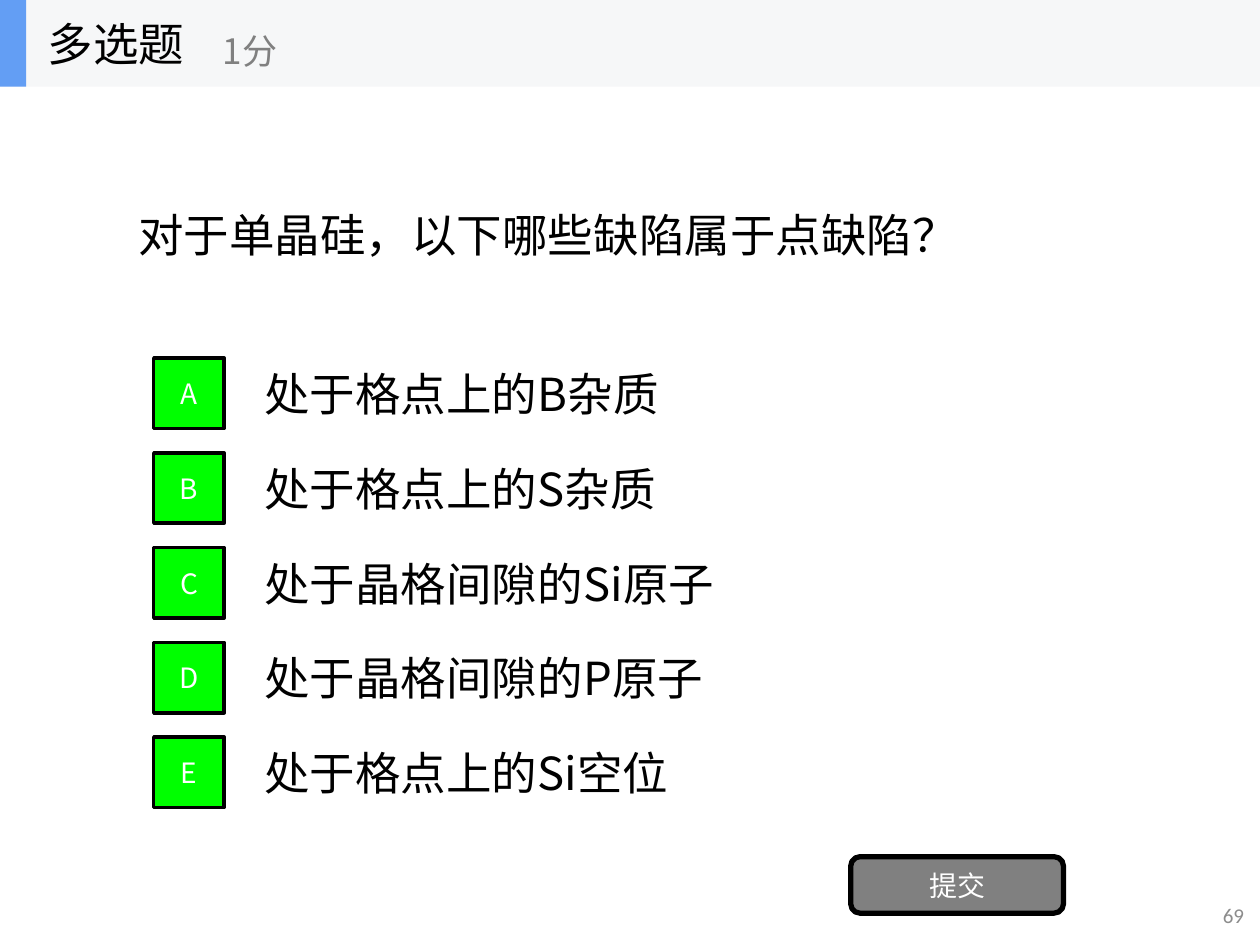
from lxml import etree
from pptx import Presentation
from pptx.dml.color import RGBColor
from pptx.enum.shapes import MSO_SHAPE
from pptx.enum.text import MSO_ANCHOR, PP_ALIGN
from pptx.oxml.ns import qn
from pptx.util import Cm, Pt

RECTANGLE = MSO_SHAPE.RECTANGLE
ROUNDED = MSO_SHAPE.ROUNDED_RECTANGLE
MIDDLE = MSO_ANCHOR.MIDDLE
LEFT, CENTER, RIGHT = PP_ALIGN.LEFT, PP_ALIGN.CENTER, PP_ALIGN.RIGHT

BLACK = RGBColor(0x00, 0x00, 0x00)
WHITE = RGBColor(0xFF, 0xFF, 0xFF)
GRAY = RGBColor(0x80, 0x80, 0x80)
NUMBER_GRAY = RGBColor(0x8C, 0x8C, 0x8C)
HEADER_GRAY = RGBColor(0xF6, 0xF7, 0xF8)
ACCENT_BLUE = RGBColor(0x63, 0x9E, 0xF4)
GREEN = RGBColor(0x00, 0xFF, 0x00)

CJK_FONT = "Noto Sans CJK SC"
SLIDE_WIDTH, SLIDE_HEIGHT = 25.4, 19.05
HEADER_HEIGHT = 1.75
OPTION_TOP, OPTION_PITCH, OPTION_HEIGHT = 7.04, 1.91, 1.78
BADGE_SIZE = 1.42

OPTIONS = {
    "A": "处于格点上的B杂质",
    "B": "处于格点上的S杂质",
    "C": "处于晶格间隙的Si原子",
    "D": "处于晶格间隙的P原子",
    "E": "处于格点上的Si空位",
}


class QuizSlide:
    """Style and drawing methods for one slide; lengths are centimetres."""

    def __init__(self, slide):
        self.slide = slide

    def set_text(self, shape, text, size, color, align, font_name):
        text_frame = shape.text_frame
        text_frame.word_wrap = True
        text_frame.vertical_anchor = MIDDLE
        text_frame.text = text
        paragraph = text_frame.paragraphs[0]
        paragraph.alignment = align
        run = paragraph.runs[0]
        run.font.size = Pt(size)
        run.font.color.rgb = color
        run.font.name = font_name
        east_asian = etree.SubElement(run._r.get_or_add_rPr(), qn("a:ea"))
        east_asian.set("typeface", font_name)

    def text(self, left, top, width, height, text, size=26, color=BLACK,
             align=LEFT, font_name=CJK_FONT):
        box = self.slide.shapes.add_textbox(
            Cm(left), Cm(top), Cm(width), Cm(height))
        self.set_text(box, text, size, color, align, font_name)

    def block(self, kind, left, top, width, height, fill):
        shape = self.slide.shapes.add_shape(
            kind, Cm(left), Cm(top), Cm(width), Cm(height))
        shape.shadow.inherit = False
        shape.fill.solid()
        shape.fill.fore_color.rgb = fill
        shape.line.fill.background()
        return shape

    def button(self, kind, left, top, width, height, text, fill, line_width):
        shape = self.block(kind, left, top, width, height, fill)
        shape.line.color.rgb = BLACK
        shape.line.width = Pt(line_width)
        self.set_text(shape, text, 16, WHITE, CENTER, CJK_FONT)


def main():
    presentation = Presentation()
    presentation.slide_width = Cm(SLIDE_WIDTH)
    presentation.slide_height = Cm(SLIDE_HEIGHT)
    quiz = QuizSlide(presentation.slides.add_slide(presentation.slide_layouts[6]))

    # Header
    quiz.block(RECTANGLE, 0, 0, SLIDE_WIDTH, HEADER_HEIGHT, HEADER_GRAY)
    quiz.block(RECTANGLE, 0, 0, 0.53, HEADER_HEIGHT, ACCENT_BLUE)
    quiz.text(0.71, 0, 5.28, HEADER_HEIGHT, "多选题")
    quiz.text(4.24, 0.3, 6.35, 1.42, "1分", size=20, color=GRAY)

    # Question
    quiz.text(2.54, HEADER_HEIGHT, 20.32, 5.94, "对于单晶硅，以下哪些缺陷属于点缺陷？")

    # Options, each with its badge centred on the row
    for row, (letter, answer) in enumerate(OPTIONS.items()):
        top = OPTION_TOP + row * OPTION_PITCH
        badge_top = top + (OPTION_HEIGHT - BADGE_SIZE) / 2
        quiz.button(RECTANGLE, 3.1, badge_top, BADGE_SIZE, BADGE_SIZE,
                    letter, GREEN, 2)
        quiz.text(5.08, top, 17.78, OPTION_HEIGHT, answer)

    # Submit button and slide number
    quiz.button(ROUNDED, 17.15, 17.27, 4.29, 1.14, "提交", GRAY, 3)
    quiz.text(19.61, 17.93, 5.72, 1.02, "69", size=12, color=NUMBER_GRAY,
              align=RIGHT, font_name="Calibri")

    presentation.save("out.pptx")


if __name__ == "__main__":
    main()
